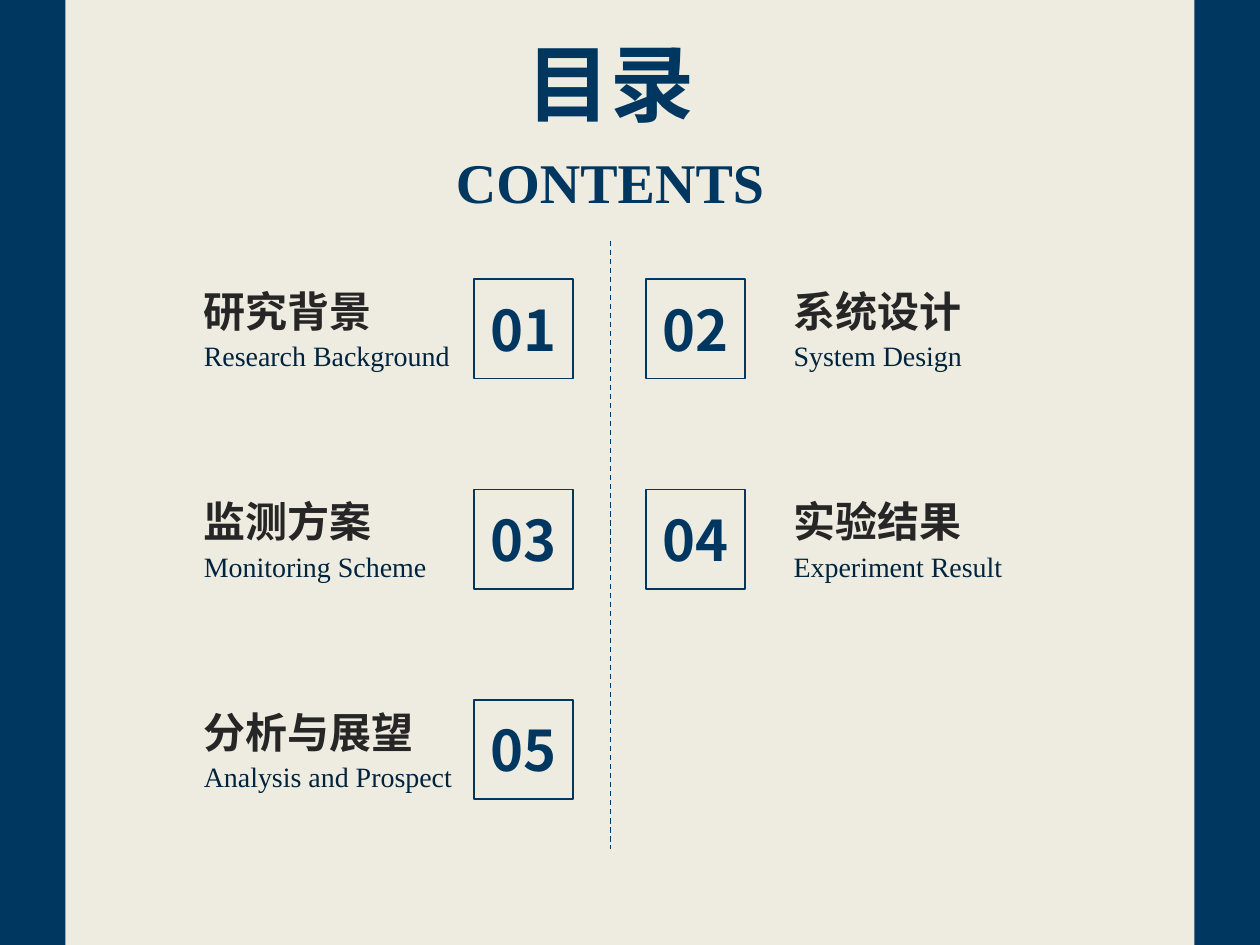
"""Build a contents slide with five numbered sections in two columns."""
import pptx
import pptx.dml.color
import pptx.enum.dml
import pptx.enum.shapes
import pptx.enum.text
import pptx.oxml.ns
import pptx.util
from lxml import etree

Cm = pptx.util.Cm
Pt = pptx.util.Pt
RGBColor = pptx.dml.color.RGBColor
ALIGN = pptx.enum.text.PP_ALIGN
ANCHOR = pptx.enum.text.MSO_ANCHOR
qn = pptx.oxml.ns.qn

NAVY = RGBColor(0x00, 0x37, 0x60)
DEEP_NAVY = RGBColor(0x00, 0x24, 0x3E)
CHARCOAL = RGBColor(0x26, 0x26, 0x26)
CREAM = RGBColor(0xEE, 0xEC, 0xE1)
CHINESE = "Noto Sans CJK SC"
LATIN = "Times New Roman"

WIDTH, HEIGHT = 25.4, 19.05
BAR_WIDTH = 1.32
DIVIDER_X = 12.3
BOX_SIZE = 2
ROW_TOP, ROW_STEP = 5.63, 4.24
COLUMNS = [(3.86, 9.55), (15.75, 13.02)]
SECTIONS = [
    ("研究背景", "Research Background"),
    ("系统设计", "System Design"),
    ("监测方案", "Monitoring Scheme"),
    ("实验结果", "Experiment Result"),
    ("分析与展望", "Analysis and Prospect"),
]


def write(tf, text, font=CHINESE, size=24, color=NAVY, bold=False,
          align=ALIGN.LEFT, anchor=ANCHOR.TOP):
    tf.word_wrap = True
    tf.auto_size = pptx.enum.text.MSO_AUTO_SIZE.NONE
    tf.vertical_anchor = anchor
    p = tf.paragraphs[0]
    p.alignment = align
    p.space_before = Pt(0)
    r = p.add_run()
    r.text = text
    r.font.size = Pt(size)
    r.font.bold = bold
    r.font.color.rgb = color
    r.font.name = font
    etree.SubElement(r.font._element, qn("a:ea")).set("typeface", font)


class Deck:
    def __init__(self, s):
        self.s = s
        s.background.fill.solid()
        s.background.fill.fore_color.rgb = CREAM

    def heading(self, sp, text, top, width, height, **style):
        sp.left, sp.top = Cm(DIVIDER_X - width / 2), Cm(top)
        sp.width, sp.height = Cm(width), Cm(height)
        write(sp.text_frame, text, bold=True, align=ALIGN.CENTER, **style)

    def text(self, text, x, y, w, h, **style):
        sp = self.s.shapes.add_textbox(Cm(x), Cm(y), Cm(w), Cm(h))
        write(sp.text_frame, text, **style)

    def rect(self, x, y, w, h):
        sp = self.s.shapes.add_shape(
            pptx.enum.shapes.MSO_SHAPE.RECTANGLE, Cm(x), Cm(y), Cm(w), Cm(h))
        sp.shadow.inherit = False
        return sp

    def bar(self, x):
        sp = self.rect(x, 0, BAR_WIDTH, HEIGHT)
        sp.fill.solid()
        sp.fill.fore_color.rgb = NAVY
        sp.line.fill.background()

    def number_box(self, number, x, y):
        sp = self.rect(x, y, BOX_SIZE, BOX_SIZE)
        sp.fill.background()
        sp.line.color.rgb = NAVY
        sp.line.width = Pt(1)
        write(sp.text_frame, f"{number:02}", size=32, bold=True,
              align=ALIGN.CENTER, anchor=ANCHOR.MIDDLE)

    def divider(self, x, top, bottom):
        line = self.s.shapes.add_connector(
            pptx.enum.shapes.MSO_CONNECTOR.STRAIGHT,
            Cm(x), Cm(top), Cm(x), Cm(bottom))
        line.line.color.rgb = NAVY
        line.line.width = Pt(0.75)
        line.line.dash_style = pptx.enum.dml.MSO_LINE.DASH
        etree.SubElement(line._element.spPr, qn("a:effectLst"))

    def section(self, number, chinese, english, text_x, box_x, y):
        self.text(chinese, text_x, y, 6.65, 1.27, color=CHARCOAL, bold=True)
        self.text(english, text_x, y + 1.08, 6.65, 0.94,
                  font=LATIN, size=16, color=DEEP_NAVY)
        self.number_box(number, box_x, y)


def main():
    prs = pptx.Presentation()
    prs.slide_width, prs.slide_height = Cm(WIDTH), Cm(HEIGHT)
    s = prs.slides.add_slide(prs.slide_layouts[0])
    deck = Deck(s)
    deck.heading(s.shapes.title, "目录", 0.51, 6.45, 2.31, size=48)
    deck.heading(s.placeholders[1], "CONTENTS", 2.84, 8.97, 1.63,
                 font=LATIN, size=32)
    for x in (0, WIDTH - BAR_WIDTH):
        deck.bar(x)
    deck.divider(DIVIDER_X, 4.85, 17.12)
    for i, (chinese, english) in enumerate(SECTIONS):
        row, column = divmod(i, len(COLUMNS))
        deck.section(i + 1, chinese, english, *COLUMNS[column],
                     ROW_TOP + row * ROW_STEP)
    prs.save("out.pptx")


if __name__ == "__main__":
    main()
